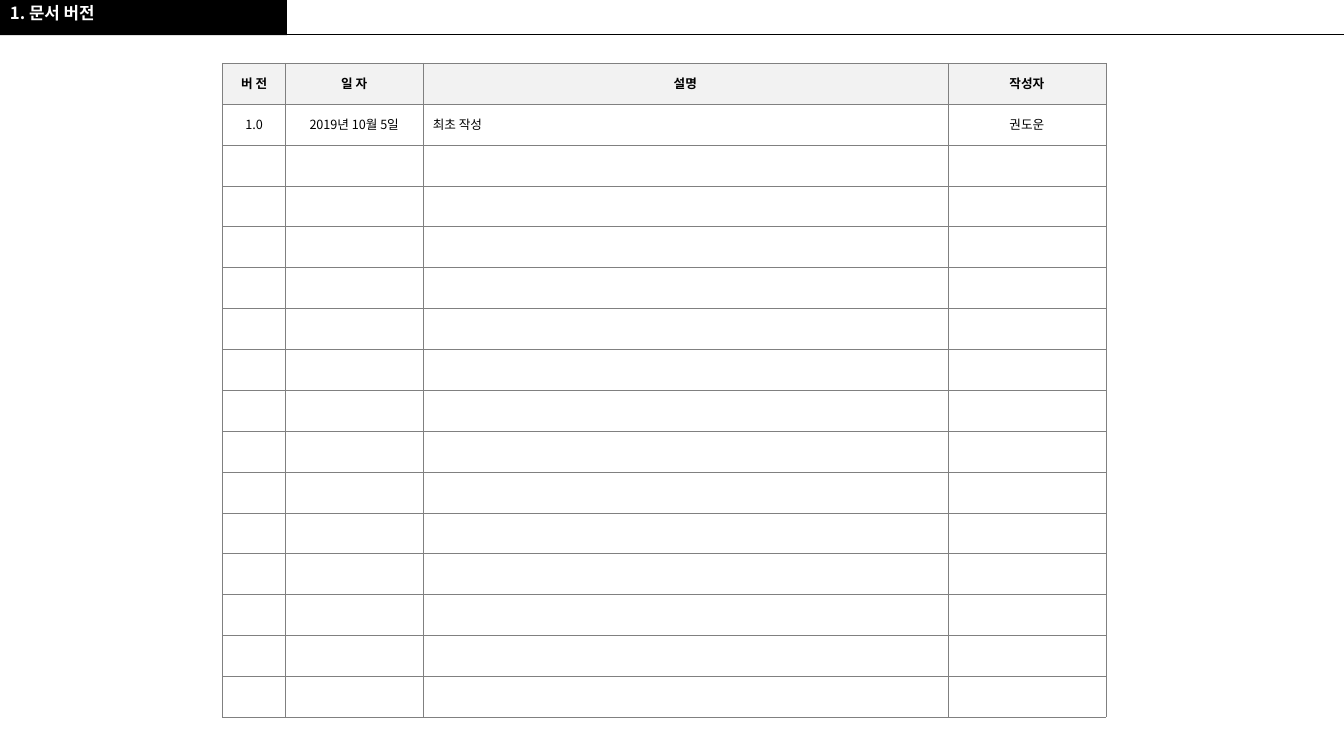
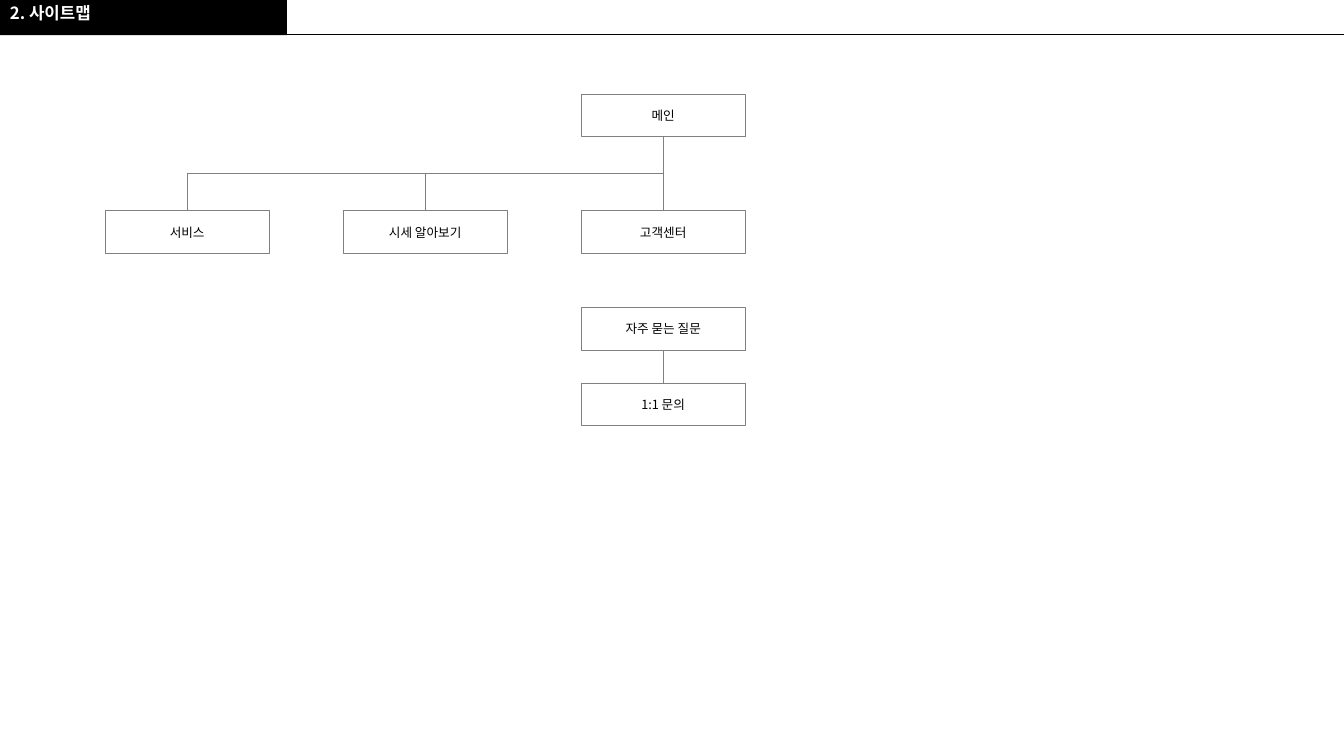
from lxml.etree import SubElement
from pptx import Presentation
from pptx.dml.color import RGBColor
from pptx.enum.shapes import MSO_CONNECTOR as Connector, MSO_SHAPE as Shape
from pptx.enum.text import MSO_ANCHOR as Anchor, PP_ALIGN as Align
from pptx.oxml.ns import qn
from pptx.util import Pt

FONT = "Noto Sans CJK KR"
BLACK, WHITE, GRAY, PALE = "000000", "FFFFFF", "808080", "F2F2F2"
WIDTH, HEIGHT = 960, 540
BAND_WIDTH, BAND_HEIGHT = 205, 25.2
TITLE_FORMAT = {"size": Pt(12), "bold": True}
BODY_FORMAT = {"size": Pt(9), "bold": False}
HEADER_FORMAT = {"size": Pt(9), "bold": True}

VERSION_TITLE = "1. 문서 버전"
VERSION_ROWS = [
    ("버 전", "일 자", "설명", "작성자"),
    ("1.0", "2019년 10월 5일", "최초 작성", "권도운"),
]
TABLE_LEFT, TABLE_TOP = 159, 45
COLUMN_WIDTHS = [45, 98, 375, 113]
ROW_COUNT, ROW_HEIGHT = 16, 29.2
DESCRIPTION_COLUMN = 2

SITEMAP_TITLE = "2. 사이트맵"
PAGES = {
    "메인": (2, 67),
    "서비스": (0, 150.5),
    "시세 알아보기": (1, 150.5),
    "고객센터": (2, 150.5),
    "자주 묻는 질문": (2, 219.6),
    "1:1 문의": (2, 273.6),
}
LINKS = [
    ("메인", "고객센터"),
    ("메인", "시세 알아보기"),
    ("메인", "서비스"),
    ("자주 묻는 질문", "1:1 문의"),
]
PAGE_LEFT, PAGE_PITCH = 75, 170
PAGE_WIDTH, PAGE_HEIGHT = 117.4, 30.5


def color(value):
    """Turn a hex string into a colour."""
    return RGBColor.from_string(value)


def write(frame, text, formats, text_color=BLACK, align=Align.CENTER):
    """Put one formatted paragraph into a text frame and return it."""
    paragraph = frame.paragraphs[0]
    paragraph.alignment = align
    run = paragraph.add_run()
    run.text = text
    run.font.name = FONT
    run.font.color.rgb = color(text_color)
    for name, value in formats.items():
        setattr(run.font, name, value)
    SubElement(run.font._element, qn("a:ea"), typeface=FONT)
    return paragraph


def add_box(slide, left, top, width, height, fill, line=None):
    """Add a flat rectangle."""
    shape = slide.shapes.add_shape(Shape.RECTANGLE, Pt(left), Pt(top), Pt(width), Pt(height))
    shape.shadow.inherit = False
    shape.fill.solid()
    shape.fill.fore_color.rgb = color(fill)
    if line:
        shape.line.color.rgb = color(line)
        shape.line.width = Pt(0.25)
    else:
        shape.line.fill.background()
    return shape


def add_line(slide, kind, begin, end, line):
    """Add a thin connector between two points given as lengths."""
    connector = slide.shapes.add_connector(kind, *begin, *end)
    connector.line.color.rgb = color(line)
    connector.line.width = Pt(0.5)
    SubElement(connector._element.spPr, qn("a:effectLst"))
    return connector


def add_titled_slide(presentation, title):
    """Add a blank slide with the title band and rule."""
    slide = presentation.slides.add_slide(presentation.slide_layouts[6])
    add_box(slide, 0, 0, BAND_WIDTH, BAND_HEIGHT, BLACK)
    add_line(slide, Connector.STRAIGHT, (Pt(199), Pt(24.5)), (Pt(WIDTH), Pt(24.5)), BLACK)
    frame = slide.shapes.add_textbox(0, Pt(2.2), Pt(BAND_WIDTH), Pt(23)).text_frame
    frame.word_wrap = True
    frame.margin_top = Pt(1.3)
    write(frame, title, TITLE_FORMAT, WHITE, Align.LEFT).line_spacing = 0.9
    return slide


def style_cell(cell, fill):
    """Give a cell its fill, borders and vertical centring."""
    cell.vertical_anchor = Anchor.MIDDLE
    cell.margin_top = cell.margin_bottom = 0
    properties = cell._tc.get_or_add_tcPr()
    for side in ("a:lnL", "a:lnR", "a:lnT", "a:lnB"):
        border = SubElement(properties, qn(side), w=str(Pt(0.25)))
        solid = SubElement(border, qn("a:solidFill"))
        SubElement(solid, qn("a:srgbClr"), val=GRAY)
    cell.fill.solid()
    cell.fill.fore_color.rgb = color(fill)


def build_versions(presentation):
    """Build the document version table."""
    slide = add_titled_slide(presentation, VERSION_TITLE)
    table = slide.shapes.add_table(
        ROW_COUNT, len(COLUMN_WIDTHS), Pt(TABLE_LEFT), Pt(TABLE_TOP),
        Pt(sum(COLUMN_WIDTHS)), Pt(ROW_COUNT * ROW_HEIGHT)).table
    table.horz_banding = False
    for column, width in zip(table.columns, COLUMN_WIDTHS):
        column.width = Pt(width)
    for index, row in enumerate(table.rows):
        row.height = Pt(ROW_HEIGHT)
        for cell in row.cells:
            style_cell(cell, WHITE if index else PALE)
    for index, texts in enumerate(VERSION_ROWS):
        for column, text in enumerate(texts):
            left_aligned = index and column == DESCRIPTION_COLUMN
            write(table.cell(index, column).text_frame, text,
                  BODY_FORMAT if index else HEADER_FORMAT,
                  align=Align.LEFT if left_aligned else Align.CENTER)


def link_pages(slide, parent, child):
    """Join the bottom of one page box to the top of another."""
    begin = (parent.left + parent.width // 2, parent.top + parent.height)
    end = (child.left + child.width // 2, child.top)
    straight = begin[0] == end[0]
    kind = Connector.STRAIGHT if straight else Connector.ELBOW
    connector = add_line(slide, kind, begin, end, GRAY)
    connector.begin_connect(parent, 2)
    connector.end_connect(child, 0)
    if not straight:
        across, down = begin[0] - end[0], end[1] - begin[1]
        connector.left = (begin[0] + end[0] - down) // 2
        connector.top = (begin[1] + end[1] - across) // 2
        connector.width, connector.height = down, across
        transform = connector._element.spPr.xfrm
        transform.flipH = False
        transform.rot = 90


def build_sitemap(presentation):
    """Build the site map of linked pages."""
    slide = add_titled_slide(presentation, SITEMAP_TITLE)
    boxes = {}
    for name, (column, top) in PAGES.items():
        left = PAGE_LEFT + column * PAGE_PITCH
        box = add_box(slide, left, top, PAGE_WIDTH, PAGE_HEIGHT, WHITE, GRAY)
        box.text_frame.vertical_anchor = Anchor.MIDDLE
        write(box.text_frame, name, BODY_FORMAT)
        boxes[name] = box
    for parent, child in LINKS:
        link_pages(slide, boxes[parent], boxes[child])


def main():
    """Build and save the presentation."""
    presentation = Presentation()
    presentation.slide_width, presentation.slide_height = Pt(WIDTH), Pt(HEIGHT)
    build_versions(presentation)
    build_sitemap(presentation)
    presentation.save("out.pptx")


if __name__ == "__main__":
    main()
